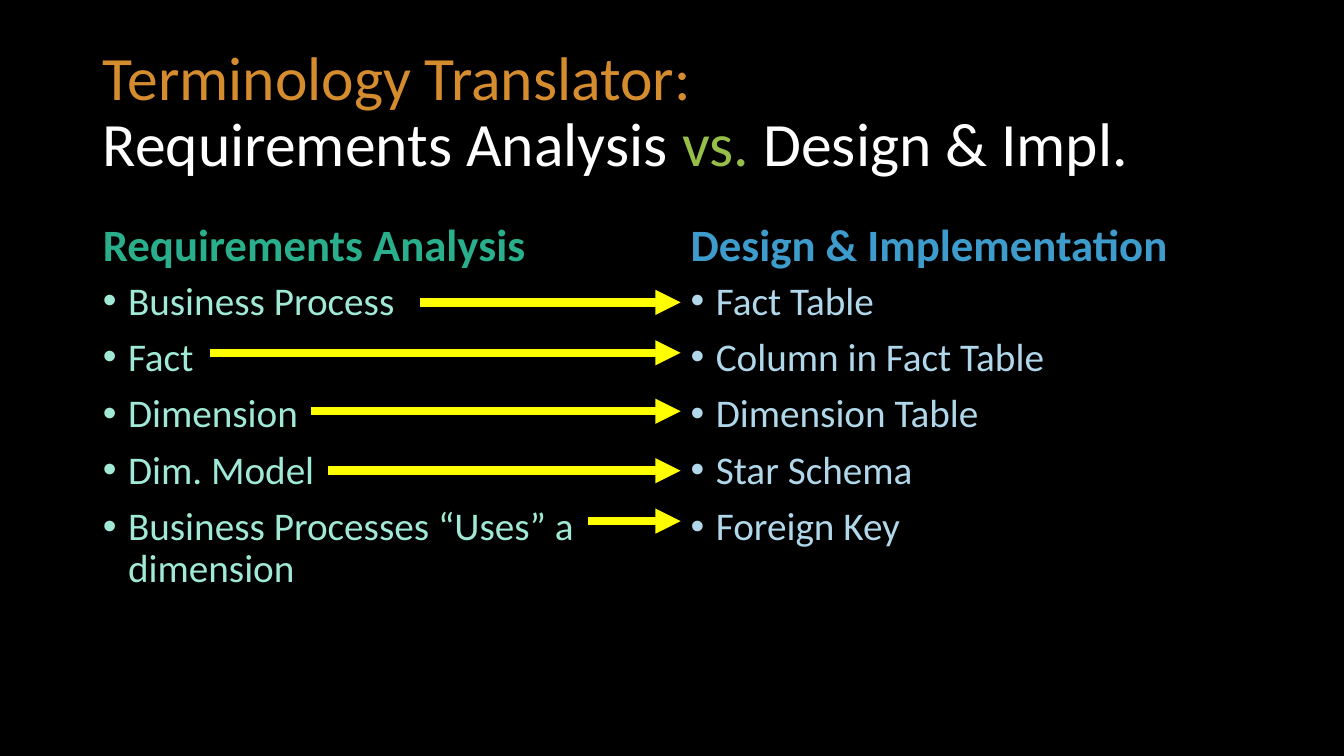
from dataclasses import dataclass

from lxml import etree
from pptx import Presentation
from pptx import util as u
from pptx.dml.color import RGBColor
from pptx.enum import shapes, text
from pptx.oxml import ns

FONT = "Calibri"
ARROW_END = 6.75


@dataclass(frozen=True)
class Column:
    heading_idx: int
    left: float
    width: float
    heading: str
    heading_color: str
    terms: tuple[str, ...]
    term_color: str


@dataclass(frozen=True)
class Arrow:
    start: float
    y: float


COLUMNS = (
    Column(1, 0.92, 5.64, "Requirements Analysis", "29AF8C",
           ("Business Process", "Fact", "Dimension", "Dim. Model",
            "Business Processes “Uses” a dimension"), "A0E9D6"),
    Column(3, 6.75, 5.67, "Design & Implementation", "3D9CCC",
           ("Fact Table", "Column in Fact Table", "Dimension Table",
            "Star Schema", "Foreign Key"), "B1D7EB"),
)
ARROWS = (Arrow(4.17, 3), Arrow(2.08, 3.5), Arrow(3.08, 4.08),
          Arrow(3.25, 4.67), Arrow(5.83, 5.17))


def paint(target, color: str) -> None:
    target.rgb = RGBColor.from_string(color)


def apply(target, **values) -> None:
    for name, value in values.items():
        setattr(target, name, value)


def style_font(font, color: str, size: float, bold: bool = False) -> None:
    apply(font, name=FONT, size=u.Pt(size), bold=bold)
    paint(font.color, color)


def place(slide, idx: int, left: float, top: float, width: float,
          height: float, anchor):
    holder = slide.placeholders[idx]
    apply(holder, left=u.Inches(left), top=u.Inches(top),
          width=u.Inches(width), height=u.Inches(height))
    apply(holder.text_frame, word_wrap=True, vertical_anchor=anchor,
          auto_size=text.MSO_AUTO_SIZE.NONE)
    return holder.text_frame


def format_paragraph(paragraph, before: float = 0) -> None:
    apply(paragraph, alignment=text.PP_ALIGN.LEFT, line_spacing=0.9,
          space_before=u.Pt(before), space_after=u.Pt(0))


def add_bullet(paragraph) -> None:
    props = paragraph._p.get_or_add_pPr()
    props.set("marL", str(u.Inches(0.25)))
    props.set("indent", str(-u.Inches(0.25)))
    etree.SubElement(props, ns.qn("a:buFont"), typeface="Arial")
    etree.SubElement(props, ns.qn("a:buChar"), char="•")


def add_title(slide) -> None:
    frame = place(slide, 0, 0.92, 0.4, 11.5, 1.45, text.MSO_ANCHOR.MIDDLE)
    title = frame.paragraphs[0]
    format_paragraph(title)
    topic = title.add_run()
    topic.text = "Terminology Translator:"
    style_font(topic.font, "D58C2E", 44)
    title.add_line_break()
    for words, color in (("Requirements Analysis ", "FFFFFF"),
                         ("vs.", "97BE49"), (" Design & Impl.", "FFFFFF")):
        phrase = title.add_run()
        phrase.text = words
        style_font(phrase.font, color, 44)


def add_column(slide, column: Column) -> None:
    frame = place(slide, column.heading_idx, column.left, 1.84, column.width,
                  0.9, text.MSO_ANCHOR.BOTTOM)
    frame.text = column.heading
    heading = frame.paragraphs[0]
    format_paragraph(heading)
    style_font(heading.runs[0].font, column.heading_color, 32, bold=True)

    frame = place(slide, column.heading_idx + 1, column.left, 2.74,
                  column.width, 4.03, text.MSO_ANCHOR.TOP)
    frame.text = "\n".join(column.terms)
    for row, term in enumerate(frame.paragraphs):
        format_paragraph(term, before=10 if row else 0)
        add_bullet(term)
        style_font(term.runs[0].font, column.term_color, 28)


def add_arrow(slide, arrow: Arrow) -> None:
    link = slide.shapes.add_connector(
        shapes.MSO_CONNECTOR.STRAIGHT, u.Inches(arrow.start),
        u.Inches(arrow.y), u.Inches(ARROW_END), u.Inches(arrow.y))
    link.line.width = u.Pt(6)
    link.line.fill.solid()
    paint(link.line.fill.fore_color, "FFFF00")
    etree.SubElement(link.line._get_or_add_ln(), ns.qn("a:tailEnd"),
                     type="triangle")
    etree.SubElement(link._element.spPr, ns.qn("a:effectLst"))


def main() -> None:
    deck = Presentation()
    apply(deck, slide_width=u.Inches(13.33), slide_height=u.Inches(7.5))
    slide = deck.slides.add_slide(deck.slide_layouts.get_by_name("Comparison"))
    slide.background.fill.solid()
    paint(slide.background.fill.fore_color, "000000")
    add_title(slide)
    for column in COLUMNS:
        add_column(slide, column)
    for arrow in ARROWS:
        add_arrow(slide, arrow)
    deck.save("out.pptx")


if __name__ == "__main__":
    main()
